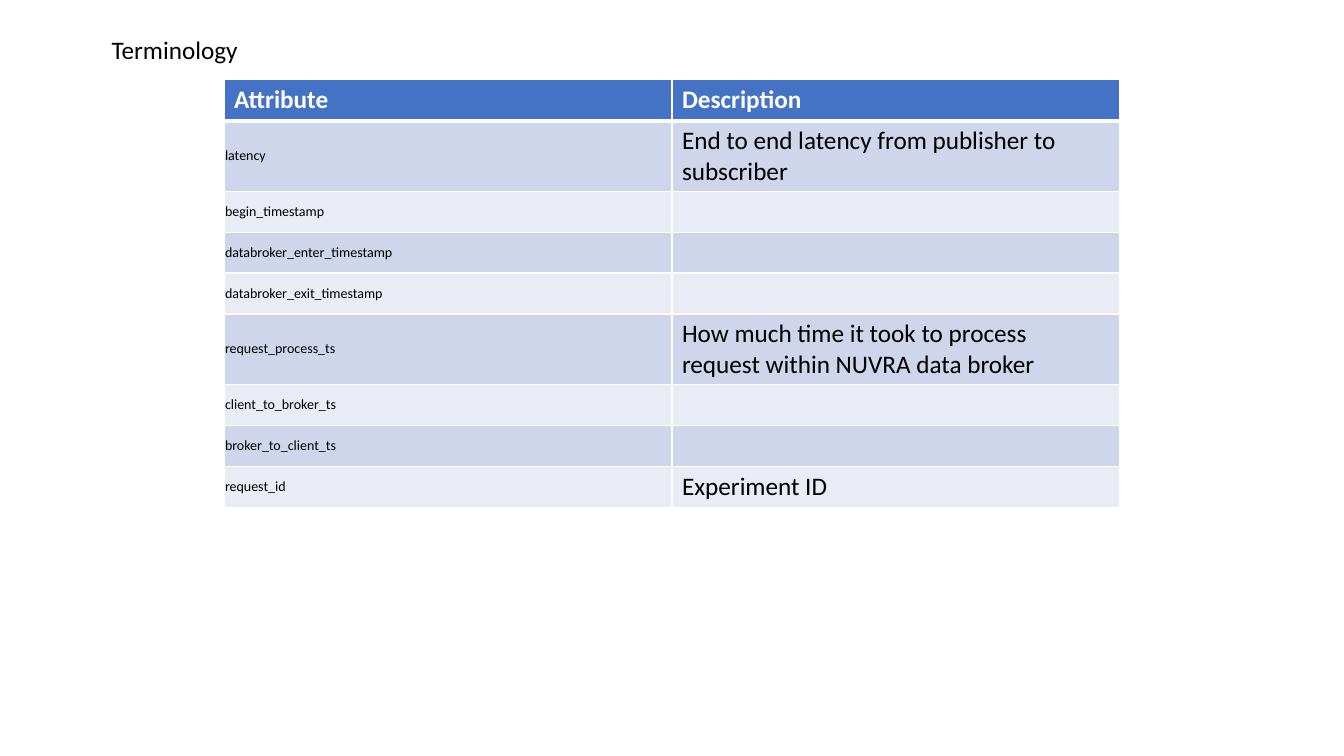
"""Build the terminology slide with its attribute table."""
from lxml import etree
from pptx import Presentation
from pptx.dml.color import RGBColor
from pptx.enum.text import MSO_ANCHOR, MSO_AUTO_SIZE, PP_ALIGN
from pptx.oxml.ns import qn
from pptx.util import Pt

TOP, MIDDLE = MSO_ANCHOR.TOP, MSO_ANCHOR.MIDDLE
LEFT, GROW = PP_ALIGN.LEFT, MSO_AUTO_SIZE.SHAPE_TO_FIT_TEXT
FONT = "Calibri"
BLACK = RGBColor(0x00, 0x00, 0x00)
WHITE = RGBColor(0xFF, 0xFF, 0xFF)
BLUE = RGBColor(0x44, 0x72, 0xC4)
BANDS = RGBColor(0xE9, 0xEB, 0xF5), RGBColor(0xCF, 0xD5, 0xEA)
WIDTH, HEIGHT = Pt(960), Pt(540)
COL, ROW, INSET = Pt(320), Pt(29.2), Pt(0.75)
TERMS = [
    ("Attribute", "Description"),
    ("latency", "End to end latency from publisher to subscriber"),
    ("begin_timestamp", ""),
    ("databroker_enter_timestamp", ""),
    ("databroker_exit_timestamp", ""),
    ("request_process_ts",
     "How much time it took to process request within NUVRA data broker"),
    ("client_to_broker_ts", ""),
    ("broker_to_client_ts", ""),
    ("request_id", "Experiment ID"),
]


def style(frame, size, color, bold=False):
    """Format all text in a frame."""
    for para in frame.paragraphs:
        para.alignment = LEFT
        for item in (para, *para.runs):
            font = item.font
            font.name, font.size, font.bold = FONT, Pt(size), bold
            font.color.rgb = color


def add_title(slide, text):
    """Move the title placeholder and fill it."""
    title = slide.shapes.title
    title.left, title.top = Pt(72.5), Pt(21.2)
    title.width, title.height = Pt(687.6), Pt(29.1)
    frame = title.text_frame
    frame.text = text
    frame.word_wrap, frame.auto_size = True, GROW
    frame.vertical_anchor = TOP
    style(frame, 18, BLACK)
    frame.paragraphs[0].line_spacing = 1.0


def add_edges(cell, head, below):
    """Draw white borders, thick between header and body."""
    props = cell._tc.get_or_add_tcPr()
    widths = {"L": 1, "R": 1, "T": 3 if below else 1, "B": 3 if head else 1}
    for side, width in widths.items():
        line = etree.SubElement(props, qn(f"a:ln{side}"), w=str(Pt(width)))
        fill = etree.SubElement(line, qn("a:solidFill"))
        etree.SubElement(fill, qn("a:srgbClr"), val=str(WHITE))


def fill_cell(cell, text, row, col):
    """Write and format one table cell."""
    head = row == 0
    key = col == 0 and not head
    add_edges(cell, head, row == 1)
    cell.fill.solid()
    cell.fill.fore_color.rgb = BLUE if head else BANDS[row % 2]
    cell.text_frame.text = text
    style(cell.text_frame, 10 if key else 18, WHITE if head else BLACK, head)
    if key:
        cell.vertical_anchor = MIDDLE
        cell.margin_left = cell.margin_right = INSET
        cell.margin_top = cell.margin_bottom = INSET


def add_terms(slide, terms):
    """Add the table of attributes and descriptions."""
    count = len(terms)
    table = slide.shapes.add_table(
        count, 2, Pt(160), Pt(57), COL * 2, ROW * count).table
    for row, pair in enumerate(terms):
        table.rows[row].height = ROW
        for col, text in enumerate(pair):
            fill_cell(table.cell(row, col), text, row, col)


def main():
    """Build and save the slide."""
    deck = Presentation()
    deck.slide_width, deck.slide_height = WIDTH, HEIGHT
    slide = deck.slides.add_slide(deck.slide_layouts[5])
    add_title(slide, "Terminology")
    add_terms(slide, TERMS)
    deck.save("out.pptx")


if __name__ == "__main__":
    main()
